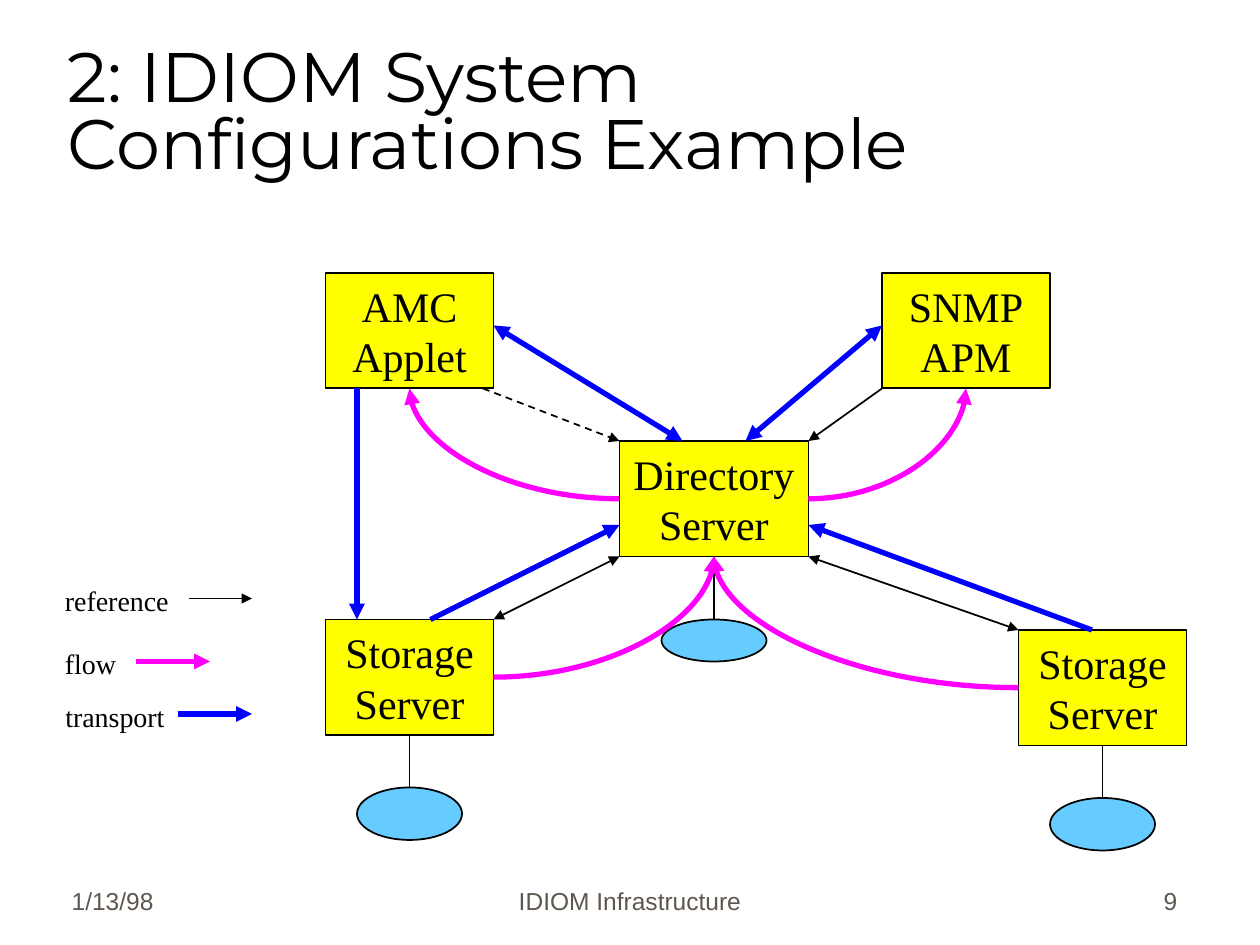
import pptx
import pptx.util
import pptx.dml.color
import pptx.enum.dml
import pptx.enum.shapes
import pptx.enum.text
import pptx.oxml
import pptx.oxml.ns
import lxml.etree

RGB = pptx.dml.color.RGBColor
Align = pptx.enum.text.PP_ALIGN
Anchor = pptx.enum.text.MSO_ANCHOR
Fit = pptx.enum.text.MSO_AUTO_SIZE
Shape = pptx.enum.shapes.MSO_SHAPE
Link = pptx.enum.shapes.MSO_CONNECTOR
Dash = pptx.enum.dml.MSO_LINE
qn = pptx.oxml.ns.qn

BLACK = RGB(0x00, 0x00, 0x00)
YELLOW = RGB(0xFF, 0xFF, 0x00)
SKY = RGB(0x66, 0xCC, 0xFF)
PINK = RGB(0xFF, 0x00, 0xFF)
BLUE = RGB(0x00, 0x00, 0xFF)
GRAY = RGB(0x5E, 0x57, 0x4E)

COLS, ROWS = 120, 90  # grid cells of 1/12 inch
TOP, LEFT, BOTTOM, RIGHT = range(4)


def write(frame, text, font="Times New Roman", size=24, color=BLACK,
          align=Align.CENTER, anchor=Anchor.MIDDLE, wrap=False,
          fit=Fit.NONE, before=0, space=None):
    """Fill a text frame, one paragraph for each line of text."""
    frame.text = text
    frame.auto_size = fit
    frame.word_wrap = wrap
    frame.vertical_anchor = anchor
    for para in frame.paragraphs:
        para.alignment = align
        para.space_before = pptx.util.Pt(before)
        if space:
            para.line_spacing = space
        for run in para.runs:
            run.font.name = font
            run.font.size = pptx.util.Pt(size)
            run.font.color.rgb = color


class Board:
    """Draws on one slide, with lengths in grid columns and rows."""

    def __init__(self, deck):
        self.slide = deck.slides.add_slide(deck.slide_layouts[5])
        self.shapes = self.slide.shapes
        self.dx = deck.slide_width / COLS
        self.dy = deck.slide_height / ROWS

    def scale(self, *cells):
        """Turn alternating columns and rows into lengths."""
        return [round(n * (self.dy if i % 2 else self.dx))
                for i, n in enumerate(cells)]

    def title(self, text, *box):
        head = self.shapes.title
        head.left, head.top, head.width, head.height = self.scale(*box)
        write(head.text_frame, text, font="Montserrat", size=40, space=0.8,
              align=Align.LEFT, anchor=Anchor.BOTTOM, wrap=True)

    def label(self, text, *box, **style):
        write(self.shapes.add_textbox(*self.scale(*box)).text_frame,
              text, **style)

    def node(self, kind, fill, *box, text=""):
        item = self.shapes.add_shape(kind, *self.scale(*box))
        item.shadow.inherit = False
        item.fill.solid()
        item.fill.fore_color.rgb = fill
        item.line.color.rgb = BLACK
        item.line.width = pptx.util.Pt(1)
        if text:
            write(item.text_frame, text)
        return item

    def server(self, text, x, y, w=16):
        return self.node(Shape.RECTANGLE, YELLOW, x, y, w, 11, text=text)

    def disk(self, x, y, h=5):
        return self.node(Shape.OVAL, SKY, x, y, 10, h)

    def line(self, start, end, color=BLACK, width=1, head=False, tail=True,
             dash=None, curve=False):
        """Join two ends, each a (column, row) or a (shape, side)."""
        spots = [self.scale(*e) if isinstance(e[0], (int, float)) else (0, 0)
                 for e in (start, end)]
        wire = self.shapes.add_connector(
            Link.CURVE if curve else Link.STRAIGHT, *spots[0], *spots[1])
        for tie, spot in ((wire.begin_connect, start), (wire.end_connect, end)):
            if not isinstance(spot[0], (int, float)):
                tie(*spot)
        wire.line.color.rgb = color
        wire.line.width = pptx.util.Pt(width)
        if dash:
            wire.line.dash_style = dash
        props = wire._element.spPr
        if curve:
            props.find(qn("a:prstGeom")).set("prst", "curvedConnector2")
        stroke = props.find(qn("a:ln"))
        for tag, shown in (("a:headEnd", head), ("a:tailEnd", tail)):
            if shown:
                lxml.etree.SubElement(stroke, qn(tag), type="triangle")
        lxml.etree.SubElement(props, qn("a:effectLst"))

    def flow(self, start, end):
        self.line(start, end, color=PINK, width=3, curve=True)

    def haul(self, start, end, head=False):
        self.line(start, end, color=BLUE, width=3, head=head)


def main():
    deck = pptx.Presentation()
    deck.slide_width = pptx.util.Inches(10)
    deck.slide_height = pptx.util.Inches(7.5)
    board = Board(deck)
    board.title("2: IDIOM System Configurations Example", 5.25, 3, 102, 15)

    # Servers and clients
    hub = board.server("Directory\nServer", 59, 42, w=18)
    amc = board.server("AMC\nApplet", 31, 26)
    snmp = board.server("SNMP\nAPM", 84, 26)
    west = board.server("Storage\nServer", 31, 59)
    east = board.server("Storage\nServer", 97, 60)

    # Disks below the servers
    disks = board.disk(63, 59, h=4), board.disk(34, 75), board.disk(100, 76)
    for owner, disk in zip((hub, west, east), disks):
        board.line((owner, BOTTOM), (disk, TOP), tail=False)

    # Flow curves
    board.flow((west, RIGHT), (hub, BOTTOM))
    board.flow((east, LEFT), (hub, BOTTOM))
    board.flow((hub, RIGHT), (snmp, BOTTOM))
    board.flow((hub, LEFT), (amc, BOTTOM))

    # References between corners
    board.line((46, 37), (59, 42), dash=Dash.DASH)
    board.line((84, 37), (77, 42))
    board.line((77, 53), (97, 60), head=True)
    board.line((59, 53), (47, 59), head=True)

    # Transport
    board.haul((34, 37), (34, 59))
    board.haul((84, 31), (71, 42), head=True)
    board.haul((47, 31), (65, 42), head=True)
    board.haul((41, 59), (59, 50))
    board.haul((104, 60), (77, 50))

    # Legend
    for text, y, w in (("reference", 55, 12.25), ("flow", 61, 7.25),
                       ("transport", 66, 11.9)):
        board.label(text, 5, y, w, 4.4, size=16, fit=Fit.SHAPE_TO_FIT_TEXT)
    board.line((18, 57), (24, 57))
    board.flow((13, 63), (20, 63))
    board.haul((17, 68), (24, 68))

    # Footer
    for text, x, w, align in (("1/13/98", 5.65, 25, Align.LEFT),
                              ("IDIOM Infrastructure", 41, 38, Align.CENTER),
                              ("9", 88.3, 25, Align.RIGHT)):
        board.label(text, x, 81.75, w, 6, font="Arial", size=14, color=GRAY,
                    align=align, anchor=Anchor.BOTTOM, wrap=True, before=8.8)

    deck.save("out.pptx")


if __name__ == "__main__":
    main()
